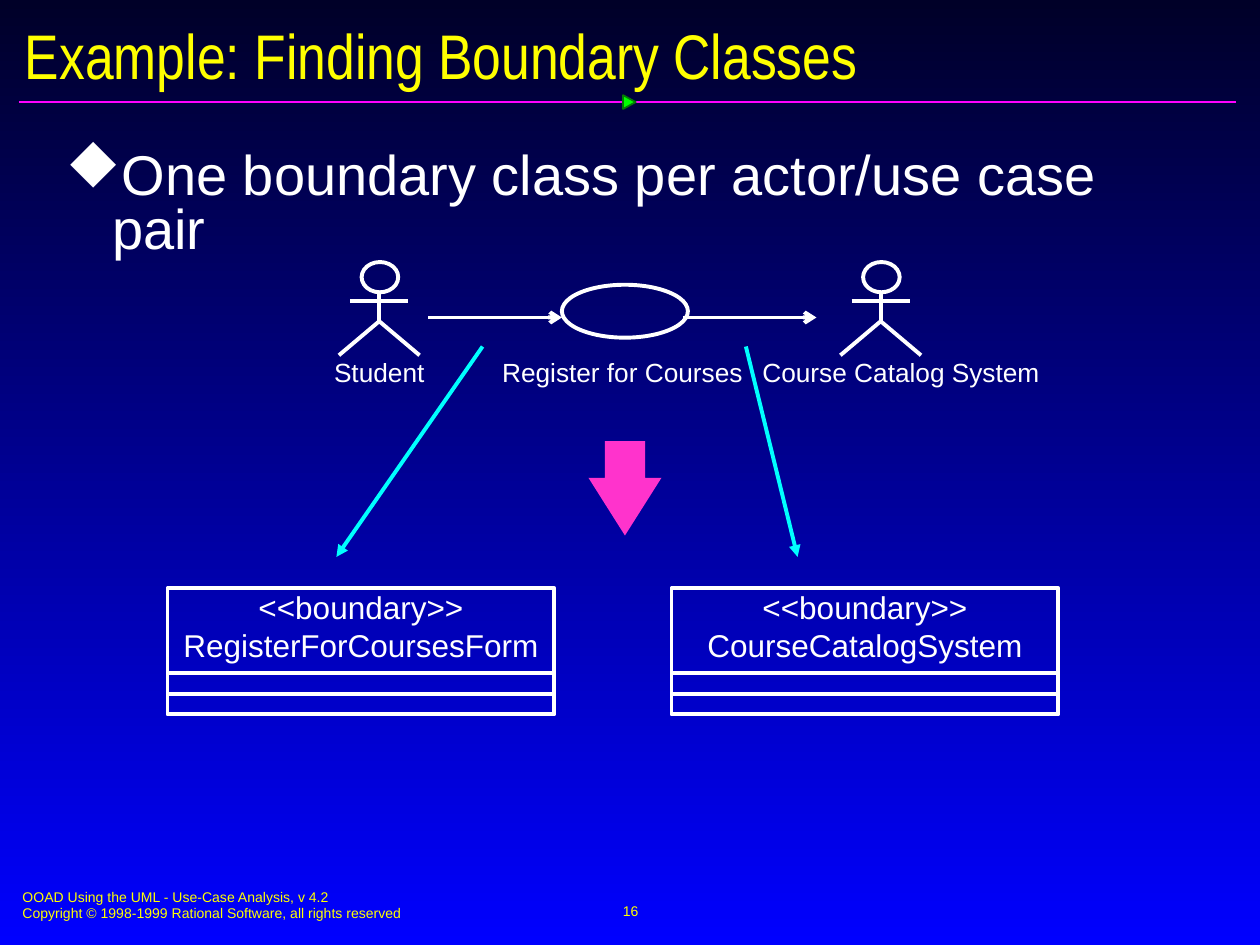
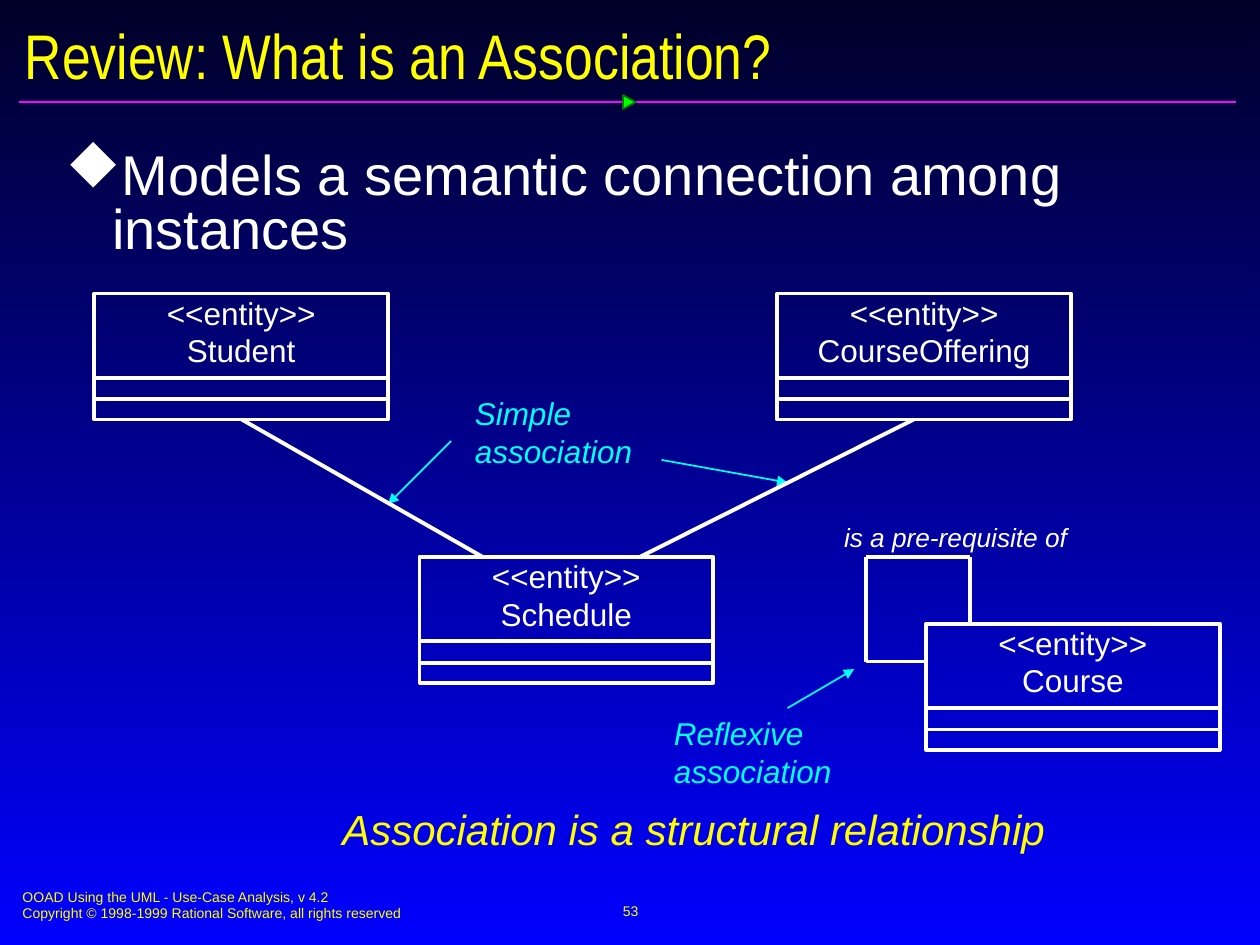
from lxml import etree
from pptx import Presentation, util as u
from pptx.dml.color import RGBColor
from pptx.enum import shapes, text
from pptx.oxml.ns import qn

COLORS = {
    "top": "000028", "bottom": "0000FF", "ink": "FFFFFF", "title": "FFFF00",
    "note": "00FFFF", "rule": "FF01FF", "marker": "00FF00",
    "marker_edge": "037C03", "step": "FF33CC",
}
FOOTER = ("OOAD Using the UML - Use-Case Analysis, v 4.2\n"
          "Copyright © 1998-1999 Rational Software, all rights reserved")
LEFT, CENTER = text.PP_ALIGN.LEFT, text.PP_ALIGN.CENTER
TOP, MIDDLE = text.MSO_ANCHOR.TOP, text.MSO_ANCHOR.MIDDLE
SHAPE = shapes.MSO_SHAPE


def rgb(name):
    return RGBColor.from_string(COLORS[name])


class Deck:
    """Holds the shared style and the slide being drawn."""

    def __init__(self):
        self.prs = Presentation()
        self.prs.slide_width, self.prs.slide_height = u.Inches(10), u.Inches(7.5)
        self.s = None

    def slide(self, title, number, bullet):
        self.s = self.prs.slides.add_slide(self.prs.slide_layouts[6])
        fill = self.s.background.fill
        fill.gradient()
        fill.gradient_angle = 270
        for stop, name in zip(fill.gradient_stops, ("top", "bottom")):
            stop.color.rgb = rgb(name)
        # Title rule and its marker
        self.line(0.15, 0.81, 9.81, 0.81, "rule", 1)
        self.shape(SHAPE.ISOSCELES_TRIANGLE, 4.94, 0.76, 0.11, 0.1,
                   "marker_edge", 1, "marker").rotation = 90
        # Footer and slide number
        self.text(FOOTER, 0.08, 7, 5.1, 0.37, 8, "title")
        self.text(str(number), 3.42, 6.98, 3.17, 0.5, 8, "title", CENTER, anchor=MIDDLE)
        # Title and bullet
        self.text(title, 0.1, 0.14, 9.84, 0.58, 36, "title", anchor=MIDDLE,
                  font="Arial Narrow")
        self.bullet(bullet)

    def text(self, words, x, y, w, h, size, color="ink", align=LEFT, italic=False,
             anchor=TOP, font="Arial", inset=(0.1, 0.05)):
        sp = self.s.shapes.add_textbox(*map(u.Inches, (x, y, w, h)))
        tf = sp.text_frame
        tf.word_wrap = True
        tf.vertical_anchor = anchor
        tf.margin_left = tf.margin_right = u.Inches(inset[0])
        tf.margin_top = tf.margin_bottom = u.Inches(inset[1])
        tf.text = words
        for p in tf.paragraphs:
            p.alignment = align
            for r in p.runs:
                r.font.name, r.font.size = font, u.Pt(size)
                r.font.italic = italic
                r.font.color.rgb = rgb(color)
        return sp

    def bullet(self, words):
        sp = self.text(words, 0.4, 1.15, 9.29, 5.52, 32, inset=(0.12, 0.06))
        p = sp.text_frame.paragraphs[0]
        p.line_spacing = 0.8
        pPr = p._p.get_or_add_pPr()
        pPr.set("marL", str(u.Inches(0.37)))
        pPr.set("indent", str(-u.Inches(0.37)))
        clr = etree.SubElement(pPr, qn("a:buClr"))
        etree.SubElement(clr, qn("a:srgbClr"), val=COLORS["ink"])
        # The letter u is the solid diamond of this symbol font
        etree.SubElement(pPr, qn("a:buFont"), typeface="Wingdings",
                         pitchFamily="2", charset="2")
        etree.SubElement(pPr, qn("a:buChar"), char="u")

    def paint(self, sp, line, width, fill=None):
        sp.shadow.inherit = False
        if fill:
            sp.fill.solid()
            sp.fill.fore_color.rgb = rgb(fill)
        else:
            sp.fill.background()
        if line:
            sp.line.color.rgb = rgb(line)
            sp.line.width = u.Pt(width)
        else:
            sp.line.fill.background()
        return sp

    def shape(self, kind, x, y, w, h, line="ink", width=2.25, fill=None):
        sp = self.s.shapes.add_shape(kind, *map(u.Inches, (x, y, w, h)))
        return self.paint(sp, line, width, fill)

    def line(self, x1, y1, x2, y2, color="ink", width=2.25, head=None):
        sp = self.s.shapes.add_connector(shapes.MSO_CONNECTOR.STRAIGHT,
                                         *map(u.Inches, (x1, y1, x2, y2)))
        sp.line.color.rgb = rgb(color)
        sp.line.width = u.Pt(width)
        if head:
            etree.SubElement(sp.line._get_or_add_ln(), qn("a:tailEnd"), type=head)
        etree.SubElement(sp._element.spPr, qn("a:effectLst"))

    def actor(self, name, cx):
        """Stick figure centred on cx, with its name below."""
        self.shape(SHAPE.OVAL, cx - 0.14, 2.08, 0.29, 0.24)
        self.line(cx, 2.33, cx, 2.55)
        self.line(cx - 0.23, 2.39, cx + 0.23, 2.39)
        legs = [(u.Inches(cx + dx), u.Inches(y))
                for dx, y in ((-0.32, 2.82), (0, 2.55), (0.32, 2.82))]
        fb = self.s.shapes.build_freeform(*legs[0], scale=1.0)
        fb.add_line_segments(legs[1:], close=False)
        self.paint(fb.convert_to_shape(), "ink", 2.25)
        self.caption(name, cx + 0.16 if cx > 5 else cx, 2.69)

    def caption(self, name, cx, w):
        self.text(name, cx - w / 2, 2.78, w, 0.35, 15, align=CENTER)

    def uml_class(self, stereotype, name, x, y, w=2.33):
        """Class box with empty attribute and operation compartments."""
        self.shape(SHAPE.RECTANGLE, x, y, w, 1)
        for dy in (0.67, 0.84):
            self.line(x, y + dy, x + w, y + dy)
        self.text(f"<<{stereotype}>>\n{name}", x, y, w, 0.6, 18,
                  align=CENTER, inset=(0, 0))


def boundary_classes(d):
    d.slide("Example: Finding Boundary Classes", 16,
            "One boundary class per actor/use case pair")
    # Actors and use case
    d.actor("Student", 3.01)
    d.actor("Course Catalog System", 6.99)
    d.shape(SHAPE.OVAL, 4.46, 2.26, 1, 0.42)
    d.caption("Register for Courses", 4.94, 2.5)
    for x in (3.4, 5.42):
        d.line(x, 2.52, x + 1.06, 2.52, head="arrow")
    # From each pair to its boundary class
    d.line(3.83, 2.75, 2.67, 4.42, "note", head="triangle")
    d.line(5.92, 2.75, 6.33, 4.42, "note", head="triangle")
    step = d.shape(SHAPE.DOWN_ARROW, 4.67, 3.5, 0.58, 0.75, None, 0, "step")
    step.adjustments[0], step.adjustments[1] = 0.55, 0.79
    for name, x in (("RegisterForCoursesForm", 1.33), ("CourseCatalogSystem", 5.33)):
        d.uml_class("boundary", name, x, 4.67, 3.07)


def association(d):
    d.slide("Review: What is an Association?", 53,
            "Models a semantic connection among instances")
    # Simple associations
    d.text("Simple association", 3.67, 3.08, 1.83, 0.7, 18, "note", italic=True)
    d.line(5.25, 3.65, 6.25, 3.83, "note", 1, "triangle")
    d.line(3.58, 3.5, 3.08, 4, "note", 1, "triangle")
    d.line(5.08, 4.42, 7.25, 3.33)
    d.line(1.92, 3.33, 3.83, 4.42)
    # Reflexive association loop
    loop = [(7.7, 4.95), (7.7, 4.42), (6.87, 4.42), (6.87, 5.25), (7.34, 5.25)]
    for start, end in zip(loop, loop[1:]):
        d.line(*start, *end)
    d.text("Reflexive association", 5.25, 5.62, 1.83, 0.7, 18, "note", italic=True)
    d.line(6.25, 5.62, 6.78, 5.31, "note", 1, "triangle")
    d.text("is a pre-requisite of", 6.6, 4.09, 2.62, 0.35, 15, italic=True)
    # Entity classes
    for name, x, y in (("Student", 0.75, 2.33), ("Schedule", 3.33, 4.42),
                       ("CourseOffering", 6.17, 2.33), ("Course", 7.35, 4.95)):
        d.uml_class("entity", name, x, y)
    # Conclusion
    d.text("Association is a structural relationship", 2.51, 6.32, 5.99, 0.52, 24,
           "title", CENTER, italic=True, inset=(0.12, 0.06))


def main():
    d = Deck()
    boundary_classes(d)
    association(d)
    d.prs.save("out.pptx")


if __name__ == "__main__":
    main()
